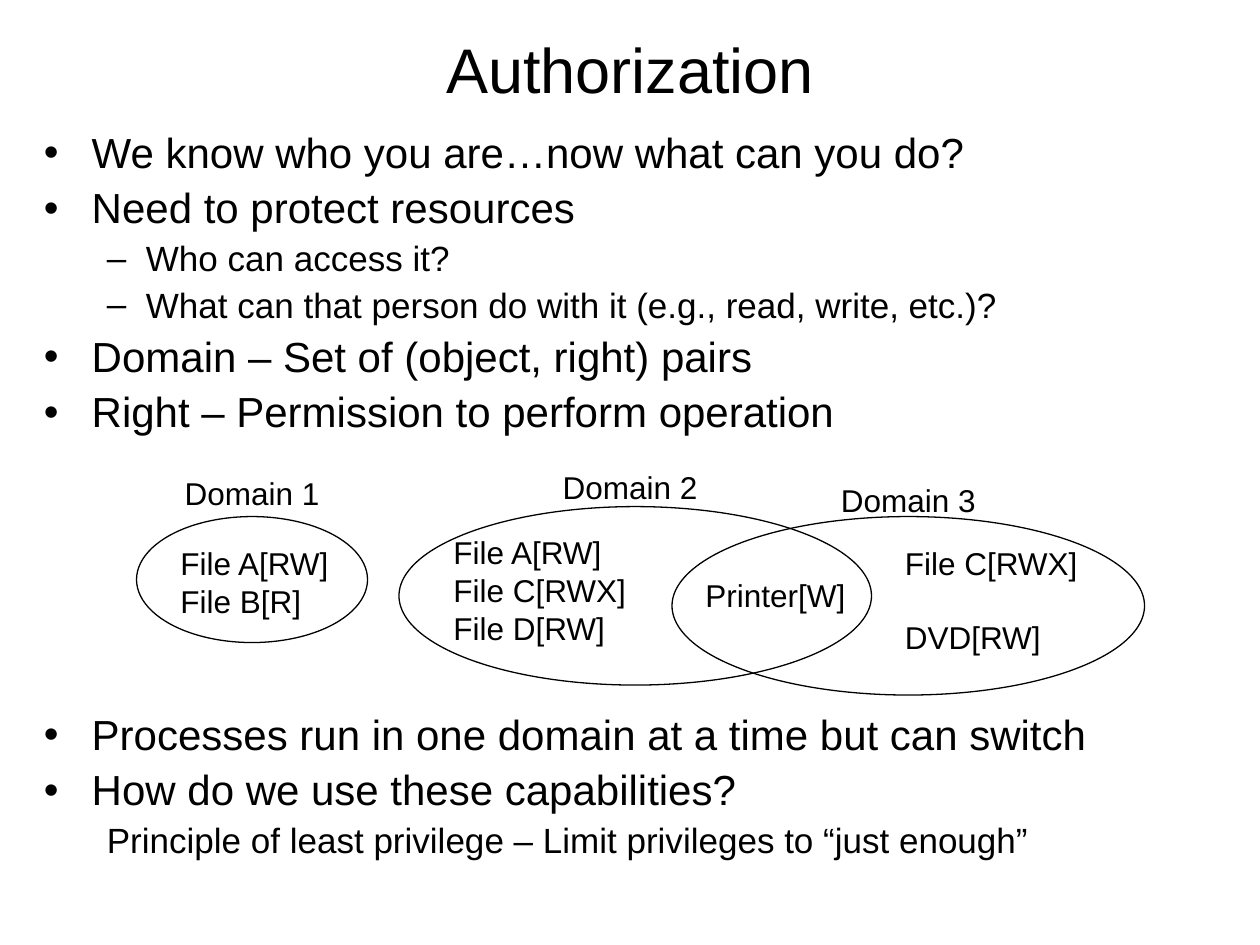
"""Build the Authorization slide: bullets around a diagram of three protection domains."""
from lxml import etree
from pptx import Presentation, util as u
from pptx.dml.color import RGBColor
from pptx.enum import shapes, text
from pptx.oxml.ns import qn

THEME = {"font": "Arial", "ink": RGBColor(0, 0, 0), "line": 0.75,
         "title": 36, "body": 24, "sub": 20, "label": 18}
GRID = 12
LEFT, CENTER = text.PP_ALIGN.LEFT, text.PP_ALIGN.CENTER
DIAGRAM_GAP = 158.5
BLANK_LINE = 20.7

TITLE = "Authorization"
LEVELS = {
    "point": {"size": "body", "margin": 0.38, "indent": -0.38, "bullet": "•", "before": 5.75},
    "detail": {"size": "sub", "margin": 0.81, "indent": -0.31, "bullet": "–", "before": 5},
    "remark": {"size": "sub", "margin": 0.81, "indent": -0.31, "bullet": None, "before": 5},
}
POINTS = [
    ("point", "We know who you are…now what can you do?"),
    ("point", "Need to protect resources"),
    ("detail", "Who can access it?"),
    ("detail", "What can that person do with it (e.g., read, write, etc.)?"),
    ("point", "Domain – Set of (object, right) pairs"),
    ("point", "Right – Permission to perform operation"),
    ("point", "Processes run in one domain at a time but can switch"),
    ("point", "How do we use these capabilities?"),
    ("remark", "Principle of least privilege – Limit privileges to “just enough”"),
]
AFTER_DIAGRAM = 6

RIGHTS = [
    (16, 51.25, 16.8, ["File A[RW]", "File B[R]"], 0),
    (42, 50.2, 19, ["File A[RW]", "File C[RWX]", "File D[RW]"], 0),
    (66, 54.25, 15.7, ["Printer[W]"], 0),
    (85, 51.25, 19, ["File C[RWX]", "DVD[RW]"], BLANK_LINE),
]
DOMAINS = [
    ("Domain 1", (24, 44.6), (13, 49.2, 22, 12)),
    ("Domain 2", (60, 44), (38, 48.25, 45, 17)),
    ("Domain 3", (86.5, 45.25), (64, 49.2, 45, 17)),
]
LABEL_WIDTH, LABEL_HEIGHT, LINE_HEIGHT = 15.2, 4.8, 3.6


def inches(*lengths):
    return [u.Inches(length) for length in lengths]


def cells(*counts):
    return inches(*(count / GRID for count in counts))


def apply(target, formats):
    for name, value in formats.items():
        setattr(target, name, value)


def add_frame(slide, box, **formats):
    frame = slide.shapes.add_textbox(*box).text_frame
    apply(frame, {"word_wrap": True, **formats})
    return frame


def write(frame, index, words, size, **formats):
    paragraph = frame.paragraphs[0] if index == 0 else frame.add_paragraph()
    apply(paragraph, formats)
    run = paragraph.add_run()
    run.text = words
    apply(run.font, {"name": THEME["font"], "size": u.Pt(THEME[size])})
    run.font.color.rgb = THEME["ink"]
    return paragraph


def set_bullet(paragraph, level):
    properties = paragraph._p.get_or_add_pPr()
    for name, key in (("marL", "margin"), ("indent", "indent")):
        properties.set(name, str(u.Inches(level[key])))
    if level["bullet"]:
        font = etree.SubElement(properties, qn("a:buFont"))
        font.set("typeface", THEME["font"])
        etree.SubElement(properties, qn("a:buChar")).set("char", level["bullet"])
    else:
        etree.SubElement(properties, qn("a:buNone"))


def add_points(slide):
    frame = add_frame(slide, inches(0.25, 1, 9.5, 6.17))
    for index, (kind, words) in enumerate(POINTS):
        level = LEVELS[kind]
        before = DIAGRAM_GAP if index == AFTER_DIAGRAM else level["before"]
        point = write(frame, index, words, level["size"],
                      line_spacing=0.9, space_before=u.Pt(before))
        set_bullet(point, level)


def add_label(slide, box, lines, align, gap=0):
    frame = add_frame(slide, box, word_wrap=False,
                      auto_size=text.MSO_AUTO_SIZE.SHAPE_TO_FIT_TEXT)
    for index, line in enumerate(lines):
        write(frame, index, line, "label", alignment=align,
              space_before=u.Pt(gap if index else 0))


def add_domain(slide, box):
    domain = slide.shapes.add_shape(shapes.MSO_SHAPE.OVAL, *box)
    domain.shadow.inherit = False
    domain.fill.background()
    domain.line.color.rgb = THEME["ink"]
    domain.line.width = u.Pt(THEME["line"])


def main():
    deck = Presentation()
    deck.slide_width, deck.slide_height = inches(10, 7.5)
    slide = deck.slides.add_slide(deck.slide_layouts[6])
    heading = add_frame(slide, inches(0.5, 0.17, 9, 0.75),
                        vertical_anchor=text.MSO_ANCHOR.MIDDLE)
    write(heading, 0, TITLE, "title", alignment=CENTER)
    add_points(slide)
    for left, top, width, files, gap in RIGHTS:
        rows = len(files) + (1 if gap else 0)
        height = LABEL_HEIGHT + (rows - 1) * LINE_HEIGHT
        add_label(slide, cells(left, top, width, height), files, LEFT, gap)
    for _, _, oval in DOMAINS:
        add_domain(slide, cells(*oval))
    for name, (middle, top), _ in DOMAINS:
        box = cells(middle - LABEL_WIDTH / 2, top, LABEL_WIDTH, LABEL_HEIGHT)
        add_label(slide, box, [name], CENTER)
    deck.save("out.pptx")


if __name__ == "__main__":
    main()
